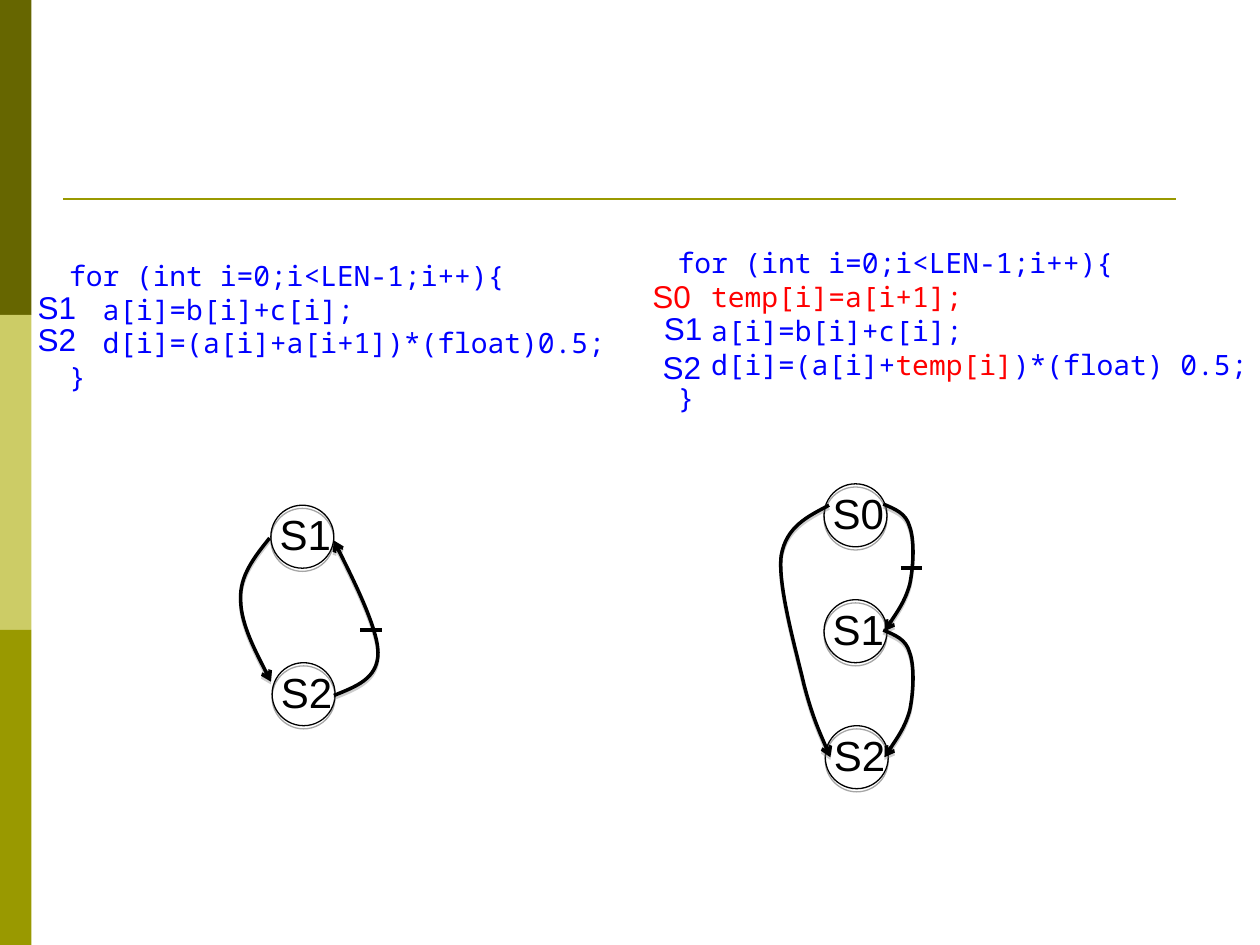
from lxml import etree
from pptx import Presentation
from pptx.dml.color import RGBColor
from pptx.enum.dml import MSO_THEME_COLOR
from pptx.enum.shapes import MSO_CONNECTOR, MSO_SHAPE
from pptx.enum.text import MSO_AUTO_SIZE
from pptx.oxml.ns import qn
from pptx.util import Inches, Pt

RECTANGLE = MSO_SHAPE.RECTANGLE
OVAL = MSO_SHAPE.OVAL
STRAIGHT = MSO_CONNECTOR.STRAIGHT
GROW = MSO_AUTO_SIZE.SHAPE_TO_FIT_TEXT
WHITE_BACKGROUND = MSO_THEME_COLOR.BACKGROUND_1

BLUE, RED, BLACK, OLIVE = "0000FF", "FF0000", "000000", "999900"
NODE_SIZE = 0.5
TICK_LENGTH = 0.17


def color(hex_string):
    return RGBColor.from_string(hex_string)


class DependenceSlide:
    code = {"name": "Noto Sans Mono", "size": Pt(16)}
    label = {"name": "Arial", "size": Pt(18)}
    node_label = {"name": "Arial", "size": Pt(24)}
    code_pitch = Pt(19.3)

    def __init__(self, slide):
        self.slide = slide
        self.shapes = slide.shapes

    def text(self, box, lines, style, wrap=True, pitch=None):
        """Add a text box; lines holds one list of (text, colour) runs per paragraph."""
        shape = self.shapes.add_textbox(*map(Inches, box))
        frame = shape.text_frame
        frame.word_wrap = wrap
        frame.auto_size = GROW
        for index, runs in enumerate(lines):
            paragraph = frame.add_paragraph() if index else frame.paragraphs[0]
            if pitch:
                paragraph.line_spacing = pitch
            for content, run_color in runs:
                run = paragraph.add_run()
                run.text = content
                for name, value in style.items():
                    setattr(run.font, name, value)
                run.font.color.rgb = color(run_color)

    def code_block(self, box, lines):
        self.text(box, lines, self.code, pitch=self.code_pitch)

    def statement_label(self, left, top, content, text_color=BLUE):
        self.text((left, top, 0.55, 0.4), [[(content, text_color)]], self.label)

    def band(self, top, height, fill):
        shape = self.shapes.add_shape(
            RECTANGLE, 0, Inches(top), Inches(0.25), Inches(height))
        shape.shadow.inherit = False
        shape.fill.solid()
        shape.fill.fore_color.rgb = color(fill)
        shape.line.fill.background()

    def line(self, left, top, length, line_color, width):
        connector = self.shapes.add_connector(
            STRAIGHT, Inches(left), Inches(top), Inches(left + length), Inches(top))
        connector.line.color.rgb = color(line_color)
        connector.line.width = Pt(width)
        etree.SubElement(connector._element.spPr, qn("a:effectLst"))

    def tick(self, left, top):
        self.line(left, top, TICK_LENGTH, BLACK, 2)

    def outline(self, shape, width, shadow_color, opacity, distance):
        """Give a shape no fill, a black line and a shadow straight below."""
        shape.fill.background()
        shape.line.color.rgb = color(BLACK)
        shape.line.width = Pt(width)
        shape.shadow.inherit = False
        effects = shape._element.spPr.find(qn("a:effectLst"))
        shadow = etree.SubElement(
            effects, qn("a:outerShdw"), dist=str(Pt(distance)), dir="5400000",
            rotWithShape="0")
        shade = etree.SubElement(shadow, qn("a:srgbClr"), val=shadow_color)
        etree.SubElement(shade, qn("a:alpha"), val=str(opacity * 1000))

    def node(self, left, top, content):
        self.text((left - 0.03, top - 0.02, 0.61, 0.5), [[(content, BLACK)]],
                  self.node_label, wrap=False)
        shape = self.shapes.add_shape(
            OVAL, *map(Inches, (left, top, NODE_SIZE, NODE_SIZE)))
        self.outline(shape, 0.75, "000000", 35, 1.8)

    def curved_arrow(self, *points):
        """Draw Bézier segments: a start, then two control points and an end for each."""
        start, *rest = [(Inches(x), Inches(y)) for x, y in points]
        builder = self.shapes.build_freeform(*start)
        builder.add_line_segments(rest, close=False)
        shape = builder.convert_to_shape()
        self.outline(shape, 2, "808080", 38, 1.6)
        curve_list = shape._element.spPr.find(".//" + qn("a:path"))
        segments = curve_list.findall(qn("a:lnTo"))
        for first in range(0, len(segments), 3):
            curve = etree.SubElement(curve_list, qn("a:cubicBezTo"))
            for segment in segments[first:first + 3]:
                curve.append(segment[0])
                curve_list.remove(segment)
        line_element = shape._element.spPr.find(qn("a:ln"))
        etree.SubElement(line_element, qn("a:tailEnd"), type="arrow")


def main():
    presentation = Presentation()
    presentation.slide_width = Inches(10)
    presentation.slide_height = Inches(7.5)
    blank_layout = presentation.slide_layouts[6]
    page = DependenceSlide(presentation.slides.add_slide(blank_layout))
    background = page.slide.background.fill
    background.solid()
    background.fore_color.theme_color = WHITE_BACKGROUND

    for index, fill in enumerate(("666600", "CCCC66", OLIVE)):
        page.band(index * 2.5, 2.5, fill)
    page.line(0.5, 1.58, 8.83, OLIVE, 1.5)

    loop_head = [("for (int i=0;i<LEN-1;i++){", BLUE)]
    sum_line = [("  a[i]=b[i]+c[i];", BLUE)]
    loop_end = [("}", BLUE)]
    page.code_block((0.45, 2, 5.04, 1.44), [
        loop_head,
        sum_line,
        [("  d[i]=(a[i]+a[i+1])*(float)0.5;", BLUE)],
        loop_end,
    ])
    page.code_block((5.28, 1.9, 4.81, 1.7), [
        loop_head,
        [("  ", BLUE), ("temp[i]=a[i+1];", RED)],
        sum_line,
        [("  d[i]=(a[i]+", BLUE), ("temp[i]", RED), (")*(float) 0.5;", BLUE)],
        loop_end,
    ])
    page.statement_label(0.2, 2.24, "S1")
    page.statement_label(0.2, 2.49, "S2")
    page.statement_label(5.08, 2.15, "S0", RED)
    page.statement_label(5.17, 2.4, "S1")
    page.statement_label(5.16, 2.71, "S2")

    # Cyclic dependence graph
    page.node(2.15, 4.01, "S1")
    page.node(2.16, 5.26, "S2")
    page.curved_arrow((2.14, 4.27), (2.02, 4.42), (1.9, 4.57), (1.91, 4.76),
                      (1.91, 4.96), (2.15, 5.41), (2.15, 5.41))
    page.curved_arrow((2.65, 5.52), (2.82, 5.45), (3, 5.39), (3, 5.18),
                      (3, 4.98), (2.65, 4.29), (2.65, 4.29))
    page.tick(2.86, 5)

    # Acyclic dependence graph
    page.node(6.54, 3.84, "S0")
    page.node(6.54, 4.76, "S1")
    page.node(6.55, 5.76, "S2")
    for top in (4, 5):
        page.curved_arrow(
            (7.01, top), (7.1, top + 0.04), (7.19, top + 0.07), (7.22, top + 0.18),
            (7.26, top + 0.29), (7.25, top + 0.5), (7.22, top + 0.64),
            (7.18, top + 0.78), (7.02, top + 1.01), (7.02, top + 1.01))
    page.curved_arrow((6.58, 4.01), (6.41, 4.1), (6.24, 4.18), (6.2, 4.41),
                      (6.17, 4.65), (6.32, 5.17), (6.38, 5.43),
                      (6.45, 5.7), (6.59, 6.01), (6.59, 6.01))
    page.tick(7.15, 4.51)

    presentation.save("out.pptx")


if __name__ == "__main__":
    main()
